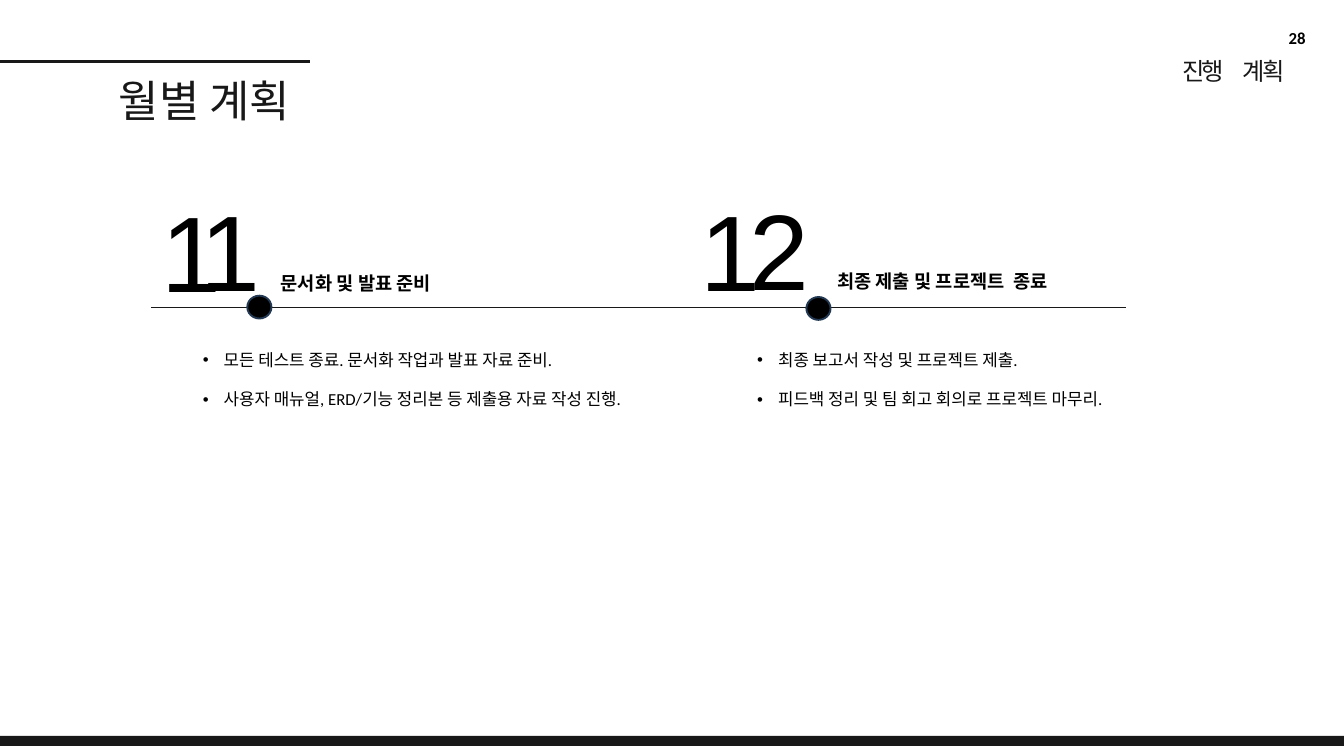
"""Build the monthly plan slide with a two-month timeline."""
import lxml.etree
import pptx
import pptx.dml.color
import pptx.enum.shapes
import pptx.enum.text
import pptx.oxml.ns
import pptx.util

Inches = pptx.util.Inches
Pt = pptx.util.Pt
qn = pptx.oxml.ns.qn
SHAPES = pptx.enum.shapes.MSO_SHAPE
ALIGN = pptx.enum.text.PP_ALIGN
INK = pptx.dml.color.RGBColor(0x18, 0x18, 0x18)
BLACK = pptx.dml.color.RGBColor(0, 0, 0)
NAVY = pptx.dml.color.RGBColor(0x23, 0x39, 0x53)
KOREAN_FONT = "Noto Sans CJK KR"

deck = pptx.Presentation()
deck.slide_width = Inches(20)
deck.slide_height = Inches(11.25)
page = deck.slides.add_slide(deck.slide_layouts[6])


def add_text(place, lines, size, name="Calibri", color=BLACK, bold=False,
             margins=(0.1, 0.05, 0.1, 0.05), before=0, bullet=False):
    box = page.shapes.add_textbox(*[Inches(length) for length in place])
    frame = box.text_frame
    frame.word_wrap = True
    frame.auto_size = pptx.enum.text.MSO_AUTO_SIZE.SHAPE_TO_FIT_TEXT
    frame.margin_left, frame.margin_top, frame.margin_right, frame.margin_bottom = [
        Inches(margin) for margin in margins]
    for index, line in enumerate(lines):
        para = frame.paragraphs[0] if index == 0 else frame.add_paragraph()
        para.add_run().text = line
        if index:
            para.space_before = Pt(before)
        if bullet:
            properties = para._p.get_or_add_pPr()
            properties.set("marL", str(Inches(0.31)))
            properties.set("indent", str(Inches(-0.31)))
            lxml.etree.SubElement(properties, qn("a:buFont")).set("typeface", "Arial")
            lxml.etree.SubElement(properties, qn("a:buChar")).set("char", "•")
        para.font.name = name
        para.font.size = Pt(size)
        para.font.bold = bold
        para.font.color.rgb = color
    return frame.paragraphs[0]


def add_line(left, right, top, width):
    line = page.shapes.add_connector(
        pptx.enum.shapes.MSO_CONNECTOR.STRAIGHT,
        Inches(left), Inches(top), Inches(right), Inches(top))
    line.line.color.rgb = INK
    line.line.width = Pt(width)
    lxml.etree.SubElement(line._element.spPr, qn("a:effectLst"))


for top, height in ((10.95, 0.13), (11.06, 0.04)):
    bar = page.shapes.add_shape(
        SHAPES.RECTANGLE, 0, Inches(top), Inches(20), Inches(height))
    bar.shadow.inherit = False
    bar.fill.solid()
    bar.fill.fore_color.rgb = INK
    bar.line.fill.background()

add_line(0, 4.62, 0.91, 3)
add_line(2.25, 16.75, 4.58, 1.5)

page_number = add_text((14.83, 0.41, 4.6, 0.3), ["28"], 18, bold=True,
                       margins=(0, 0, 0, 0))
page_number.alignment = ALIGN.RIGHT

tight = (0.01, 0.01, 0, 0)
title = add_text((1.76, 1.08, 2.91, 0.81), ["월별 계획"], 47, KOREAN_FONT, INK,
                 margins=tight)
section = add_text((17.58, 0.83, 2.13, 0.46), ["진행　계획"], 26, KOREAN_FONT, INK,
                   margins=tight)
for heading in (title, section):
    span_properties = heading.runs[0]._r.get_or_add_rPr()
    lxml.etree.SubElement(span_properties, qn("a:ea")).set("typeface", KOREAN_FONT)
section.runs[0]._r.get_or_add_rPr().set("spc", "-300")

months = [
    {"digits": [("1", 2.39, 2.75), ("1", 2.97, 2.73)],
     "dot": (3.68, 4.4),
     "label": ((4.08, 3.99, 3.05, 0.44), "문서화 및 발표 준비"),
     "tasks": ((2.92, 5.15, 6.96, 1.01),
               ["모든 테스트 종료. 문서화 작업과 발표 자료 준비.",
                "사용자 매뉴얼, ERD/기능 정리본 등 제출용 자료 작성 진행."])},
    {"digits": [("1", 10.42, 2.73), ("2", 11.14, 2.71)],
     "dot": (12, 4.42),
     "label": ((12.36, 3.96, 3.72, 0.44), "최종 제출 및 프로젝트  종료"),
     "tasks": ((11.17, 5.15, 5.75, 1.01),
               ["최종 보고서 작성 및 프로젝트 제출.",
                "피드백 정리 및 팀 회고 회의로 프로젝트 마무리."])},
]

for month in months:
    for digit, left, top in month["digits"]:
        add_text((left, top, 1.92, 1.95), [digit], 115, "Arial", margins=tight)
    left, top = month["dot"]
    dot = page.shapes.add_shape(SHAPES.FLOWCHART_CONNECTOR, Inches(left), Inches(top),
                                Inches(0.36), Inches(0.34))
    dot.shadow.inherit = False
    dot.fill.solid()
    dot.fill.fore_color.rgb = BLACK
    dot.line.color.rgb = NAVY
    dot.line.width = Pt(2)
    place, label = month["label"]
    add_text(place, [label], 20, bold=True)
    place, tasks = month["tasks"]
    add_text(place, tasks, 18, before=21, bullet=True)

deck.save("out.pptx")
